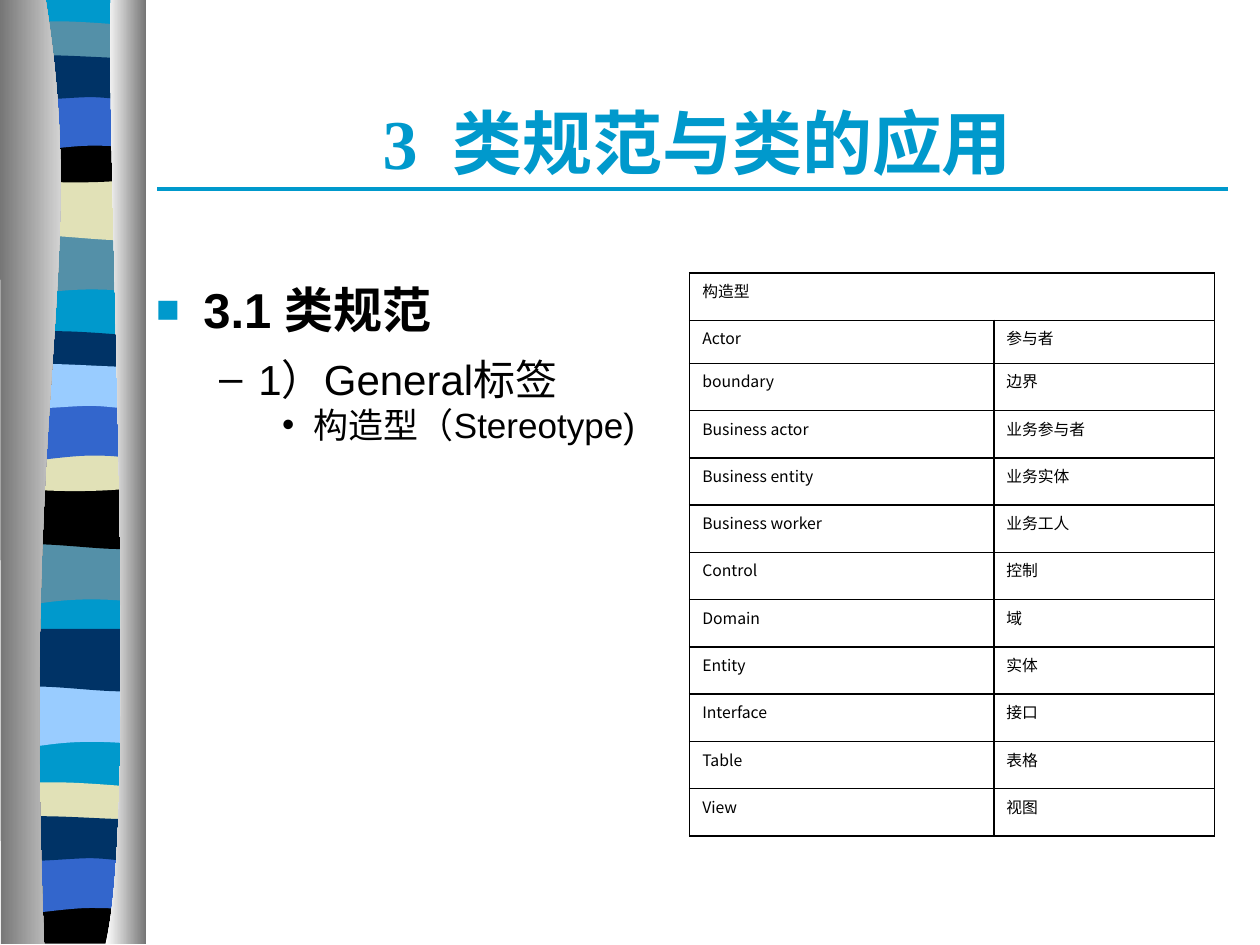
import lxml.etree
import pptx
import pptx.dml.color
import pptx.enum.shapes
import pptx.enum.text
import pptx.oxml.ns
import pptx.util

Pt = pptx.util.Pt
RGB = pptx.dml.color.RGBColor.from_string
qn = pptx.oxml.ns.qn
SubElement = lxml.etree.SubElement

theme = {
    "accent": "0099CC", "text": "000000", "steel": "5490A8", "navy": "003366",
    "blue": "3366CC", "beige": "E1E1B7", "sky": "99CCFF",
    "rail_dark": "767676", "rail_light": "FFFFFF",
    "title_font": "Times New Roman", "body_font": "Arial",
    "cjk_font": "Noto Sans CJK SC",
    "title_size": 40, "list_sizes": (28, 24, 20), "table_size": 9,
}


def add_run(paragraph, text, size, font, color="text", bold=False):
    run = paragraph.add_run()
    run.text = text
    run.font.size = Pt(size)
    run.font.name = font
    run.font.bold = bold
    run.font.color.rgb = RGB(theme[color])
    SubElement(run.font._element, qn("a:ea"), typeface=theme["cjk_font"])


def add_outline(steps, left=0, top=0):
    """Each step holds one point for a line, or three for a Bezier curve."""
    corners = [(Pt(left + x), Pt(top + y)) for step in steps for x, y in step]
    builder = slide.shapes.build_freeform(*corners[0])
    builder.add_line_segments(corners[1:], close=True)
    outline = builder.convert_to_shape()
    outline.shadow.inherit = False
    outline.line.fill.background()
    lines = list(outline._element.iter(qn("a:lnTo")))
    for step in steps[1:]:
        segment, lines = lines[:len(step)], lines[len(step):]
        if len(step) == 3:
            curve = lxml.etree.Element(qn("a:cubicBezTo"))
            segment[0].addprevious(curve)
            for line in segment:
                curve.append(line[0])
                line.getparent().remove(line)
    return outline


deck = pptx.Presentation()
deck.slide_width, deck.slide_height = Pt(720), Pt(540)
slide = deck.slides.add_slide(deck.slide_layouts[1])

# Band outlines, 78 pt wide, measured from each band's top left
w = 78
outlines = {
    "full": [[(w, 0)], [(w, 538.5)], [(0, 538.5)], [(0, 0)]],
    "slope": [[(w, 0)], [(w, 34)], [(24, 28), (13, 39.5), (0, 34)], [(0, 0)]],
    "swell": [[(w, 0)], [(w, 34)], [(65, 39.5), (24, 30), (0, 34)], [(0, 0)]],
    "thin": [[(w, 3.6)], [(w, 21)], [(65, 24), (13, 24), (0, 21)], [(0, 3.6)],
             [(4.5, 0), (17, 0.7), (30, 0.7)], [(43, 0.7), (68, 2.9), (w, 3.6)]],
    "dip": [[(w, 0)], [(w, 23.4)], [(65, 27.4), (13, 27.4), (0, 23.4)], [(0, 0)],
            [(47.5, 3.6), (61, 0), (w, 0)]],
    "base": [[(w, 0)], [(w, 26.8)], [(0, 26.8)], [(0, 0)],
             [(47.5, 3.6), (61, 0), (w, 0)]],
    "crest": [[(w, 0)], [(w, 34)], [(65.5, 30), (60.5, 30), (47.5, 30)],
              [(34.5, 30), (11.5, 34), (0, 34)], [(0, 0)]],
    "sway": [[(w, 3.6)], [(w, 26)], [(73, 29.5), (60.5, 26), (47.5, 26)],
             [(34.5, 26), (8, 29.5), (0, 26)], [(0, 3.6)],
             [(11, 0), (52.5, 3.6), (65.5, 3.6)], [(79, 3.6), (75, 3.6), (w, 3.6)]],
}

# Coloured ribbon: outline, left, top, colour, from back to front
bands = [
    ("full", 4.2, -0.5, "accent"),
    ("slope", 4.2, 133.2, "steel"), ("swell", 4.2, 101.5, "beige"),
    ("thin", 4.2, 11.5, "steel"), ("dip", 4.2, 77.8, "text"),
    ("crest", 4.2, 53.3, "blue"), ("sway", 4.2, 29.5, "navy"),
    ("slope", 3.8, 310.3, "steel"), ("swell", 3.8, 278, "text"),
    ("thin", 3.8, 188.6, "navy"), ("dip", 3.8, 254.2, "beige"),
    ("crest", 3.8, 230.4, "blue"), ("sway", 3.8, 205.9, "sky"),
    ("slope", 4.2, 391.7, "sky"), ("swell", 4.2, 359.3, "navy"),
    ("thin", 3.8, 446.4, "beige"), ("base", 3.8, 512.5, "text"),
    ("crest", 3.8, 488.9, "blue"), ("sway", 3.8, 464.4, "navy"),
]
# The lowest band lies under the one above it
for kind, left, top, color in bands:
    band = add_outline(outlines[kind], left, top)
    band.fill.solid()
    band.fill.fore_color.rgb = RGB(theme[color])

# Metallic rails on both sides of the ribbon
rails = [
    ([[(26, -0.5)], [(51, 155.5), (12.2, 213), (25.2, 539.3)],
      [(0.5, 539.3)], [(0, -0.5)]], "rail_dark", "rail_light"),
    ([[(63.4, -0.5)], [(60.5, 90), (79.9, 465), (60.3, 539.3)],
      [(83.5, 539.3)], [(83.5, -0.5)]], "rail_light", "rail_dark"),
]
for steps, start, end in rails:
    rail = add_outline(steps)
    rail.fill.gradient()
    rail.fill.gradient_angle = 0
    for stop, color, position in zip(rail.fill.gradient_stops, (start, end), (0, 1)):
        stop.color.rgb = RGB(theme[color])
        stop.position = position

# Rule under the title
rule = slide.shapes.add_connector(
    pptx.enum.shapes.MSO_CONNECTOR.STRAIGHT, Pt(89.8), Pt(108), Pt(701.8), Pt(108))
rule.line.color.rgb = RGB(theme["accent"])
rule.line.width = Pt(2.25)
SubElement(rule._element.spPr, qn("a:effectLst"))

# Title and list placeholders, in front of the decoration
heading, outline_list = slide.shapes.title, slide.placeholders[1]
for holder, box in [(heading, (92.4, 36, 612, 90)), (outline_list, (82, 156, 300, 324))]:
    holder.left, holder.top, holder.width, holder.height = map(Pt, box)
    holder.text_frame.auto_size = pptx.enum.text.MSO_AUTO_SIZE.NONE
    holder.element.getparent().append(holder.element)

heading.text_frame.vertical_anchor = pptx.enum.text.MSO_ANCHOR.MIDDLE
heading_line = heading.text_frame.paragraphs[0]
heading_line.alignment = pptx.enum.text.PP_ALIGN.CENTER
add_run(heading_line, "3  类规范与类的应用", theme["title_size"],
        theme["title_font"], "accent", True)

# text, left margin, hanging indent, space before, space after, bullet, colour, size %
items = [
    ("3.1 类规范", 27, 27, 7, 7, "■", "accent", 80),
    ("1）General标签", 58.5, 22.5, 1.5, 0, "–", "text", 100),
    ("构造型（Stereotype)", 90, 18, 0, 0, "•", "text", 100),
]
for level, (text, margin, hang, before, after, mark, color, percent) in enumerate(items):
    frame = outline_list.text_frame
    item = frame.add_paragraph() if level else frame.paragraphs[0]
    item.level = level
    item.space_before, item.space_after = Pt(before), Pt(after)
    props = item._p.get_or_add_pPr()
    props.set("marL", str(Pt(margin)))
    props.set("indent", str(-Pt(hang)))
    bullet_color = SubElement(props, qn("a:buClr"))
    SubElement(bullet_color, qn("a:srgbClr"), val=theme[color])
    SubElement(props, qn("a:buSzPct"), val=str(percent * 1000))
    SubElement(props, qn("a:buFont"), typeface=theme["body_font"])
    SubElement(props, qn("a:buChar"), char=mark)
    add_run(item, text, theme["list_sizes"][level], theme["body_font"], bold=level == 0)

# Stereotype table
stereotypes = [
    ("构造型", ""), ("Actor", "参与者"), ("boundary", "边界"),
    ("Business actor", "业务参与者"), ("Business entity", "业务实体"),
    ("Business worker", "业务工人"), ("Control", "控制"), ("Domain", "域"),
    ("Entity", "实体"), ("Interface", "接口"), ("Table", "表格"), ("View", "视图"),
]
row_heights = [27, 24.5] + [27.03] * 10
table = slide.shapes.add_table(len(stereotypes), 2, Pt(394.1), Pt(156.1), Pt(300),
                               Pt(sum(row_heights))).table
table.first_row = table.horz_banding = False
table.columns[0].width, table.columns[1].width = Pt(173.8), Pt(126.2)
table.cell(0, 0).merge(table.cell(0, 1))
for row, (height, texts) in enumerate(zip(row_heights, stereotypes)):
    table.rows[row].height = Pt(height)
    for column, text in enumerate(texts):
        cell = table.cell(row, column)
        cell.fill.background()
        for place, side in enumerate(("a:lnL", "a:lnR", "a:lnT", "a:lnB")):
            border = lxml.etree.Element(qn(side), w=str(Pt(0.96)))
            ink = SubElement(border, qn("a:solidFill"))
            SubElement(ink, qn("a:srgbClr"), val=theme["text"])
            cell._tc.get_or_add_tcPr().insert(place, border)
        if text:
            entry = cell.text_frame.paragraphs[0]
            entry_props = entry._p.get_or_add_pPr()
            entry_props.set("marL", str(Pt(27)))
            entry_props.set("indent", str(-Pt(27)))
            add_run(entry, text, theme["table_size"], theme["cjk_font"])

deck.save("out.pptx")
